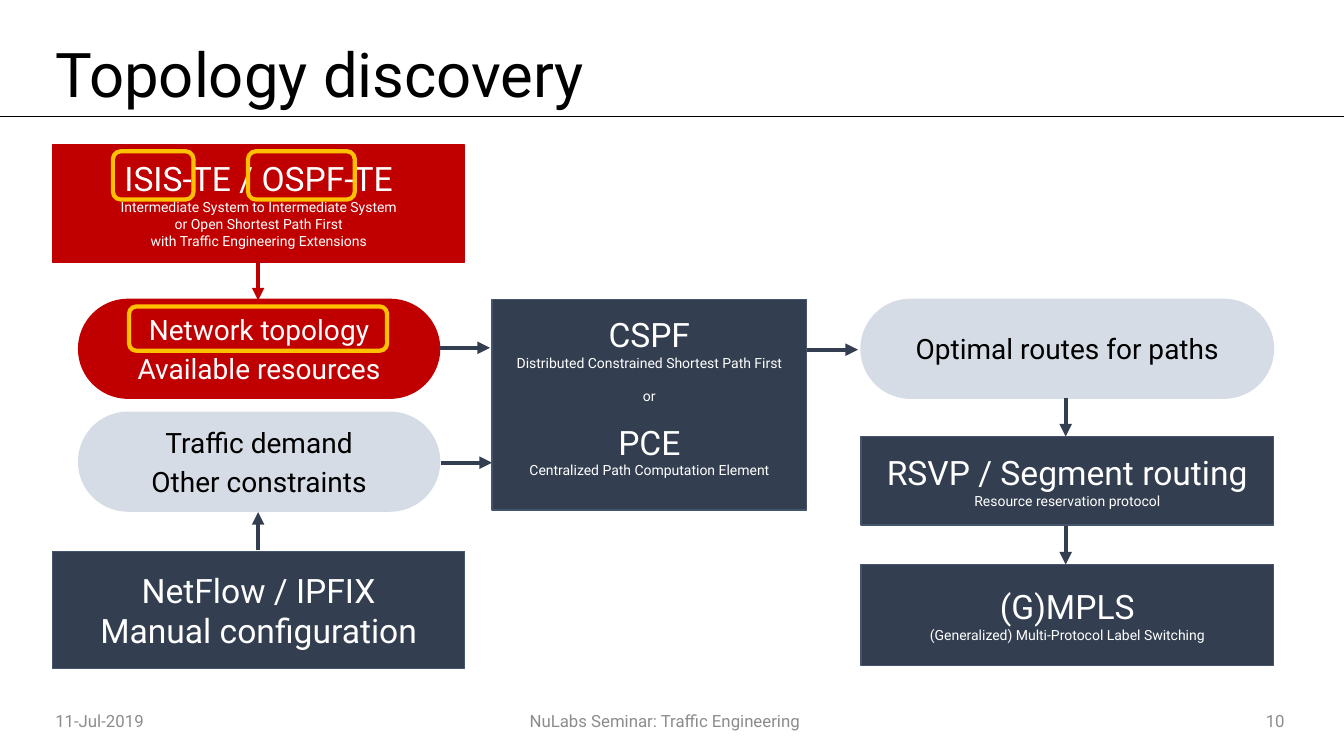
from dataclasses import dataclass

from pptx import Presentation
from pptx.dml.color import RGBColor
from pptx.enum.shapes import MSO_CONNECTOR as Connector, MSO_SHAPE as Shape
from pptx.enum.text import MSO_ANCHOR as Anchor, MSO_AUTO_SIZE as AutoSize, PP_ALIGN as Align
from pptx.oxml.ns import qn
from pptx.util import Inches, Pt

CELL = 0.1  # inches per grid column and row


@dataclass(frozen=True)
class Theme:
    font: str = "Roboto"
    ink: str = "000000"
    paper: str = "FFFFFF"
    navy: str = "333F50"
    navy_edge: str = "44546A"
    red: str = "C00000"
    pale: str = "D6DCE5"
    amber: str = "FFC000"
    grey: str = "8C8C8C"
    title: int = 44
    heading: int = 24
    body: int = 20
    footer: int = 12
    small: int = 10
    stroke: float = 3


THEME = Theme()


@dataclass(frozen=True)
class Box:
    """A rectangle measured in grid cells."""
    left: float
    top: float
    width: float
    height: float

    def inner(self, left, top, width, height):
        return Box(self.left + left, self.top + top, width, height)

    def point(self, across, down):
        return self.left + across, self.top + down

    def emu(self):
        return [cells(n) for n in (self.left, self.top, self.width, self.height)]


def cells(count):
    return Inches(round(count * CELL, 2))


def style(para, size, color, align=Align.CENTER):
    para.alignment = align
    para.font.name = THEME.font
    para.font.size = Pt(size)
    para.font.color.rgb = RGBColor.from_string(color)


def write(frame, lines, color, gap=0):
    """Fill a frame from (text, size) or (text, size, space before) lines."""
    frame.word_wrap = True
    frame.vertical_anchor = Anchor.MIDDLE
    for index, (text, size, *before) in enumerate(lines):
        para = frame.add_paragraph() if index else frame.paragraphs[0]
        para.text = text
        style(para, size, color)
        if index:
            para.space_before = Pt(before[0] if before else gap)


def add_box(page, box, kind, fill, edge, weight=1):
    shape = page.shapes.add_shape(kind, *box.emu())
    shape.shadow.inherit = False
    if fill:
        shape.fill.solid()
        shape.fill.fore_color.rgb = RGBColor.from_string(fill)
    else:
        shape.fill.background()
    shape.line.color.rgb = RGBColor.from_string(edge)
    shape.line.width = Pt(weight)
    return shape


def add_step(page, box, lines, fill=THEME.navy, edge=THEME.navy_edge, foot=0):
    frame = add_box(page, box, Shape.RECTANGLE, fill, edge).text_frame
    frame.margin_left = frame.margin_right = frame.margin_top = 0
    frame.margin_bottom = Pt(foot)
    write(frame, lines, THEME.paper)


def add_data(page, box, texts, fill=THEME.pale, color=THEME.ink):
    pill = add_box(page, box, Shape.ROUNDED_RECTANGLE, fill, fill)
    pill.adjustments[0] = 0.5
    write(pill.text_frame, [(text, THEME.body) for text in texts], color, gap=4)


def add_highlight(page, box):
    add_box(page, box, Shape.ROUNDED_RECTANGLE, None, THEME.amber, THEME.stroke)


def add_line(page, start, end, color, weight):
    ends = [cells(n) for n in (*start, *end)]
    line = page.shapes.add_connector(Connector.STRAIGHT, *ends)
    line.line.color.rgb = RGBColor.from_string(color)
    line.line.width = Pt(weight)
    properties = line._element.spPr
    properties.append(properties.makeelement(qn("a:effectLst"), {}))
    return line


def add_arrow(page, start, across=0, down=0, color=THEME.navy):
    end = start[0] + across, start[1] + down
    arrow = add_line(page, start, end, color, THEME.stroke)
    outline = arrow._element.spPr.find(qn("a:ln"))
    outline.append(outline.makeelement(qn("a:tailEnd"), {"type": "triangle"}))


def add_header(page, box):
    title = page.shapes.title
    title.left, title.top, title.width, title.height = box.inner(4.5, 3.6, 123.9, 8.1).emu()
    frame = title.text_frame
    frame.text = "Topology discovery"
    frame.auto_size = AutoSize.NONE
    frame.vertical_anchor = Anchor.MIDDLE
    para = frame.paragraphs[0]
    style(para, THEME.title, THEME.ink, Align.LEFT)
    para.line_spacing = 0.9
    add_line(page, box.point(0, 11.5), box.point(box.width, 11.5), THEME.ink, 0.5)


def add_footer(page, box):
    for text, left, width, align in (
        ("11-Jul-2019", 0, 13.7, Align.LEFT),
        ("NuLabs Seminar: Traffic Engineering", 14.8, 93.3, Align.CENTER),
        ("10", 109.5, 14.4, Align.RIGHT),
    ):
        frame = page.shapes.add_textbox(*box.inner(left, 0, width, 4).emu()).text_frame
        write(frame, [(text, THEME.footer)], THEME.grey)
        frame.paragraphs[0].alignment = align


def add_inputs(page, box):
    add_step(page, box.inner(0, 0, box.width, 11.6), [
        ("ISIS-TE / OSPF-TE", THEME.heading),
        ("Intermediate System to Intermediate System\n"
         "or Open Shortest Path First\n"
         "with Traffic Engineering Extensions", THEME.small),
    ], THEME.red, THEME.red)
    add_data(page, box.inner(2.6, 15.3, 35.8, 9.8),
             ["Network topology", "Available resources"], THEME.red, THEME.paper)
    add_data(page, box.inner(2.6, 26.5, 35.8, 9.8), ["Traffic demand", "Other constraints"])
    add_step(page, box.inner(0, 40.3, box.width, 11.6), [
        ("NetFlow / IPFIX", THEME.heading),
        ("Manual configuration", THEME.heading),
    ])
    middle = box.width / 2
    add_arrow(page, box.point(middle, 11.6), down=3.8, color=THEME.red)
    add_arrow(page, box.point(middle, 40.2), down=-3.8)
    add_arrow(page, box.point(38.3, 20.1), across=5.1)
    add_arrow(page, box.point(38.5, 31.5), across=5.1)
    for place in ((7.6, 16, 25.6, 4.4), (6, 0.6, 8, 4.8), (19.4, 0.6, 10.6, 4.8)):
        add_highlight(page, box.inner(*place))


def add_computation(page, box):
    blank = THEME.small * 1.2
    add_step(page, box, [
        ("CSPF", THEME.heading),
        ("Distributed Constrained Shortest Path First", THEME.small),
        ("or", THEME.small, blank),
        ("PCE", THEME.heading, blank),
        ("Centralized Path Computation Element", THEME.small),
    ], foot=blank)
    add_arrow(page, box.point(box.width, 5), across=5.1)


def add_outputs(page, box):
    add_data(page, box.inner(0, 0, box.width, 9.8), ["Optimal routes for paths"])
    for top, height, name, meaning in (
        (13.6, 8.8, "RSVP / Segment routing", "Resource reservation protocol"),
        (26.3, 10, "(G)MPLS", "(Generalized) Multi-Protocol Label Switching"),
    ):
        add_step(page, box.inner(0, top, box.width, height),
                 [(name, THEME.heading), (meaning, THEME.small)])
        add_arrow(page, box.point(20.3, top - 3.8), down=3.8)


def main():
    deck = Presentation()
    deck.slide_width, deck.slide_height = Inches(13.33), Inches(7.5)
    page = deck.slides.add_slide(deck.slide_layouts[5])
    add_header(page, Box(0, 0, 133.3, 11.7))
    add_inputs(page, Box(5.2, 14.4, 40.9, 51.9))
    add_computation(page, Box(48.8, 29.7, 31.2, 20.9))
    add_outputs(page, Box(85.4, 29.7, 40.9, 36.3))
    add_footer(page, Box(4.5, 69.5, 123.9, 4))
    deck.save("out.pptx")


if __name__ == "__main__":
    main()
